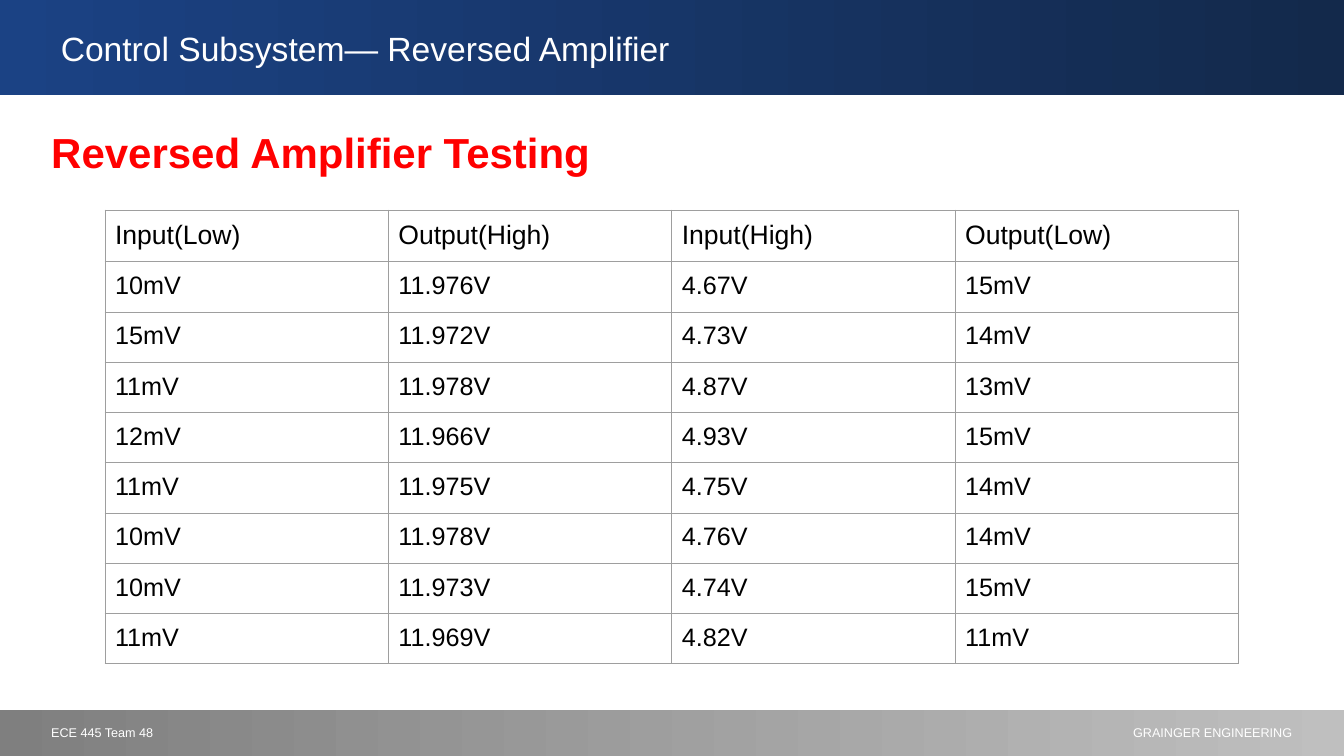
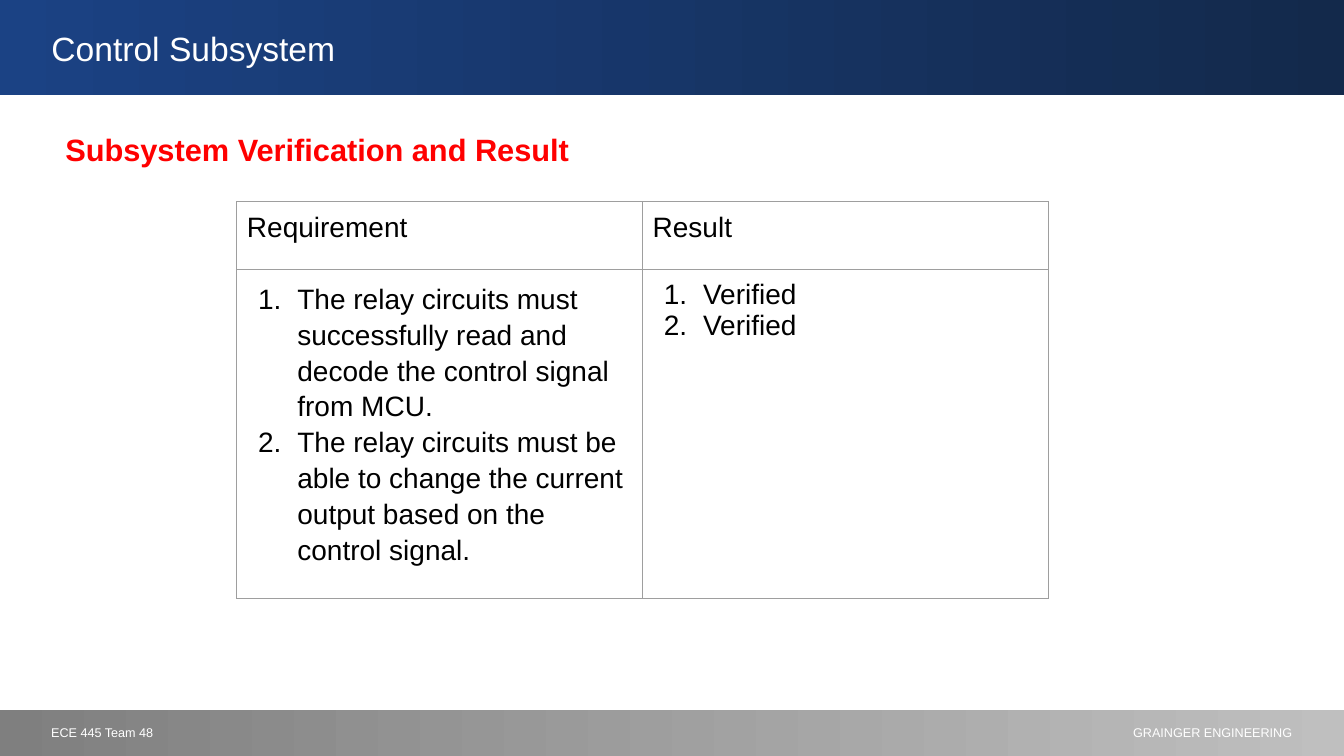
from dataclasses import dataclass
from typing import Any, Optional

import pptx
import pptx.dml.color
import pptx.enum.shapes
import pptx.enum.text
import pptx.oxml
import pptx.oxml.ns
import pptx.util
from lxml import etree

Pt = pptx.util.Pt
Align = pptx.enum.text.PP_ALIGN


@dataclass(frozen=True)
class Theme:
    font: str = "Arial"
    white: str = "FFFFFF"
    black: str = "000000"
    red: str = "FF0000"
    border: str = "9E9E9E"
    header: tuple[str, str] = ("1B4284", "13294B")
    footer: tuple[str, str] = ("7F7F7F", "BFBFBF")
    title_size: float = 24
    footer_size: float = 9


@dataclass(frozen=True)
class Box:
    left: float
    top: float
    width: float
    height: float

    def lengths(self) -> tuple[int, ...]:
        return tuple(Pt(v) for v in (self.left, self.top, self.width, self.height))


@dataclass(frozen=True)
class Band:
    box: Box
    colors: tuple[str, str]


@dataclass(frozen=True)
class Label:
    text: str
    box: Box
    size: float
    color: str
    bold: bool = False
    align: Any = Align.LEFT
    inset: float = 3.6


@dataclass(frozen=True)
class CellText:
    text: str
    size: float
    numbered: bool = False
    spacing: Optional[float] = None


@dataclass(frozen=True)
class Grid:
    left: float
    top: float
    column_width: float
    row_heights: list[float]
    rows: list[list[CellText]]


THEME = Theme()
WIDTH, HEIGHT = 960, 540
TITLE_BOX = Box(29.5, 16, 859, 36)
SIDE_INSET = 7.2

# Parts shared by every slide
BANDS = [
    Band(Box(0, 507, WIDTH, 33), THEME.footer),
    Band(Box(0, -0.5, WIDTH, 68.5), THEME.header),
]
FOOTERS = [
    Label("ECE 445 Team 48", Box(29.5, 514, 629, 18), THEME.footer_size, THEME.white),
    Label("GRAINGER ENGINEERING", Box(735, 514, 195, 18), THEME.footer_size,
          THEME.white, align=Align.RIGHT),
]

# Slide content
READINGS = [
    ["10mV", "11.976V", "4.67V", "15mV"],
    ["15mV", "11.972V", "4.73V", "14mV"],
    ["11mV", "11.978V", "4.87V", "13mV"],
    ["12mV", "11.966V", "4.93V", "15mV"],
    ["11mV", "11.975V", "4.75V", "14mV"],
    ["10mV", "11.978V", "4.76V", "14mV"],
    ["10mV", "11.973V", "4.74V", "15mV"],
    ["11mV", "11.969V", "4.82V", "11mV"],
]
READING_HEADS = ["Input(Low)", "Output(High)", "Input(High)", "Output(Low)"]
REQUIREMENTS = (
    "The relay circuits must successfully read and decode the control signal from MCU.\n"
    "The relay circuits must be able to change the current output based on the control signal."
)


def rgb(color: str) -> pptx.dml.color.RGBColor:
    return pptx.dml.color.RGBColor.from_string(color)


def number_paragraph(para: Any) -> None:
    """Give a paragraph a hanging automatic number."""
    properties = para._p.get_or_add_pPr()
    properties.set("marL", str(Pt(36)))
    properties.set("indent", str(Pt(-28)))
    etree.SubElement(properties, pptx.oxml.ns.qn("a:buFont"), typeface=THEME.font)
    etree.SubElement(properties, pptx.oxml.ns.qn("a:buAutoNum"), type="arabicPeriod")


def write_text(frame: Any, text: str, *, size: float, color: str, bold: bool = False,
               align: Any = Align.LEFT, numbered: bool = False,
               spacing: Optional[float] = None) -> None:
    """Write one paragraph for each line of text."""
    for index, line in enumerate(text.split("\n")):
        para = frame.add_paragraph() if index else frame.paragraphs[0]
        if numbered:
            number_paragraph(para)
        para.alignment = align
        if spacing:
            para.line_spacing = spacing
        span = para.add_run()
        span.text = line
        span.font.name = THEME.font
        span.font.size = Pt(size)
        span.font.bold = bold
        span.font.color.rgb = rgb(color)


def prepare_frame(frame: Any, left: float, vertical: float) -> None:
    frame.word_wrap = True
    frame.auto_size = pptx.enum.text.MSO_AUTO_SIZE.NONE
    frame.vertical_anchor = pptx.enum.text.MSO_ANCHOR.TOP
    frame.margin_left, frame.margin_right = Pt(left), Pt(SIDE_INSET)
    frame.margin_top = frame.margin_bottom = Pt(vertical)


def draw_label(page: Any, label: Label) -> None:
    frame = page.shapes.add_textbox(*label.box.lengths()).text_frame
    prepare_frame(frame, SIDE_INSET, label.inset)
    write_text(frame, label.text, size=label.size, color=label.color,
               bold=label.bold, align=label.align)


def draw_band(page: Any, band: Band) -> None:
    """Draw a gradient band behind the title."""
    shape = page.shapes.add_shape(pptx.enum.shapes.MSO_SHAPE.RECTANGLE, *band.box.lengths())
    shape.shadow.inherit = False
    shape.line.fill.background()
    shape.fill.gradient()
    shape.fill.gradient_angle = 0
    for stop, color in zip(shape.fill.gradient_stops, band.colors):
        stop.color.rgb = rgb(color)
    page.shapes.title.element.addprevious(shape.element)


def set_borders(cell: Any) -> None:
    properties = cell._tc.get_or_add_tcPr()
    for index, side in enumerate(("lnL", "lnR", "lnT", "lnB")):
        properties.insert(index, pptx.oxml.parse_xml(
            f'<a:{side} {pptx.oxml.ns.nsdecls("a")} w="{Pt(0.75)}"><a:solidFill>'
            f'<a:srgbClr val="{THEME.border}"/></a:solidFill></a:{side}>'))


def draw_grid(page: Any, grid: Grid) -> None:
    columns = len(grid.rows[0])
    box = Box(grid.left, grid.top, grid.column_width * columns, sum(grid.row_heights))
    table = page.shapes.add_table(len(grid.rows), columns, *box.lengths()).table
    table.first_row = table.horz_banding = False
    for column in table.columns:
        column.width = Pt(grid.column_width)
    for row, height, entries in zip(table.rows, grid.row_heights, grid.rows):
        row.height = Pt(height)
        for cell, entry in zip(row.cells, entries):
            cell.fill.background()
            set_borders(cell)
            cell.margin_left = cell.margin_right = Pt(SIDE_INSET)
            cell.margin_top = cell.margin_bottom = Pt(SIDE_INSET)
            write_text(cell.text_frame, entry.text, size=entry.size, color=THEME.black,
                       numbered=entry.numbered, spacing=entry.spacing)


def add_page(deck: Any, title: str, heading: Label, grid: Grid,
             title_inset: float = SIDE_INSET) -> None:
    page = deck.slides.add_slide(deck.slide_layouts[5])
    # Title and shared parts
    holder = page.shapes.title
    holder.left, holder.top, holder.width, holder.height = TITLE_BOX.lengths()
    prepare_frame(holder.text_frame, title_inset, 3.6)
    write_text(holder.text_frame, title, size=THEME.title_size, color=THEME.white)
    for band in BANDS:
        draw_band(page, band)
    for footer in FOOTERS:
        draw_label(page, footer)
    # Slide body
    draw_label(page, heading)
    draw_grid(page, grid)


def main() -> None:
    deck = pptx.Presentation()
    deck.slide_width, deck.slide_height = Pt(WIDTH), Pt(HEIGHT)

    # Amplifier readings
    readings = [[CellText(text, 19) for text in READING_HEADS]]
    readings += [[CellText(text, 18) for text in row] for row in READINGS]
    add_page(
        deck, "Control Subsystem— Reversed Amplifier",
        Label("Reversed Amplifier Testing", Box(29.5, 83.5, 829, 51), 30, THEME.red,
              bold=True, inset=7.2),
        Grid(75, 150, 202.4, [37] + [35.9] * len(READINGS), readings),
        title_inset=13.9)

    # Requirements and results
    add_page(
        deck, "Control Subsystem",
        Label("Subsystem Verification and Result", Box(39.6, 90, 880, 36), 22,
              THEME.red, bold=True),
        Grid(169.2, 144, 289.8, [48.2, 235], [
            [CellText("Requirement", 20), CellText("Result", 20)],
            [CellText(REQUIREMENTS, 20, numbered=True, spacing=1.15),
             CellText("Verified\nVerified", 20, numbered=True)],
        ]))

    deck.save("out.pptx")


if __name__ == "__main__":
    main()
